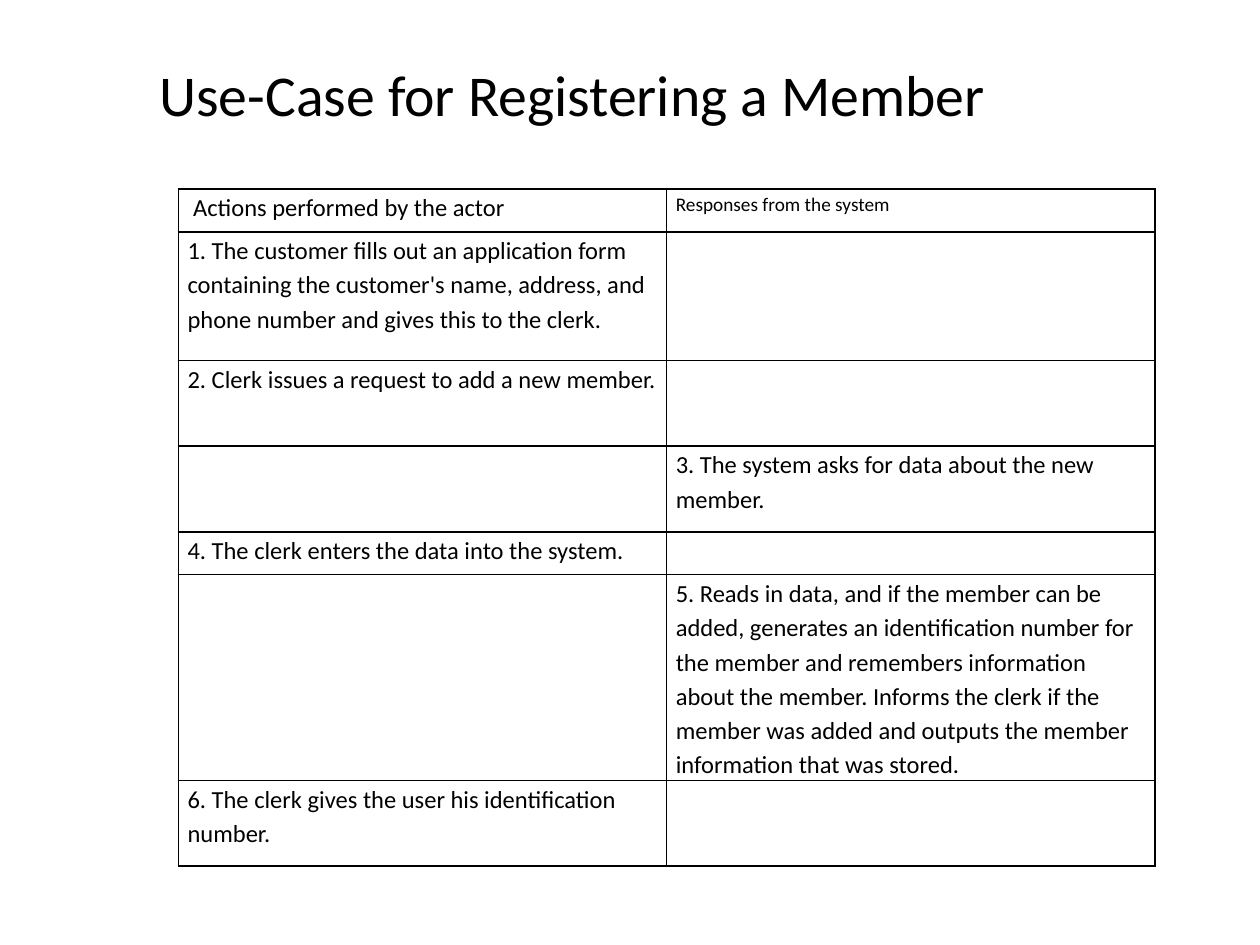
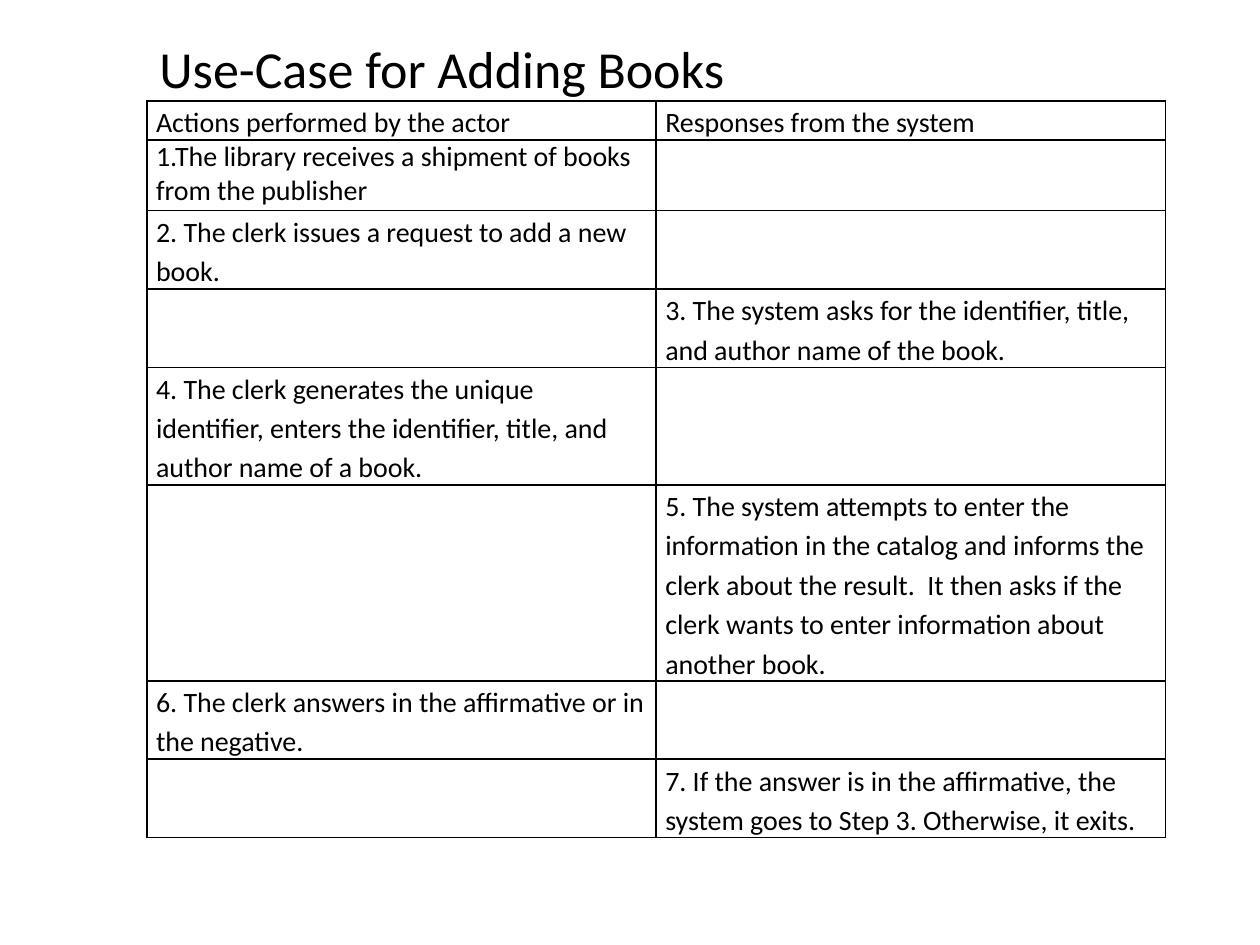
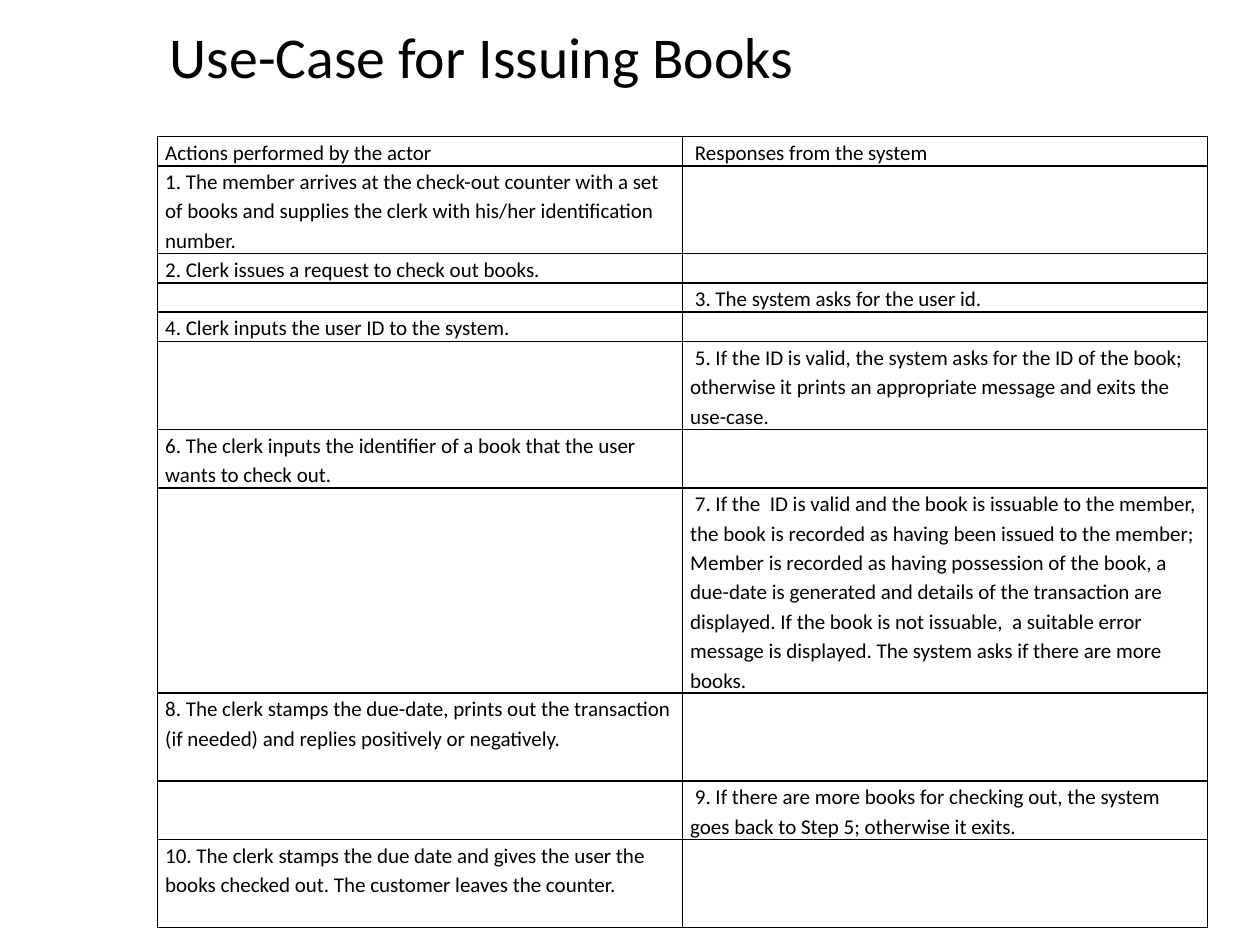
from dataclasses import dataclass

from lxml.etree import SubElement
from pptx import Presentation
from pptx.dml.color import RGBColor
from pptx.enum.text import MSO_ANCHOR
from pptx.oxml.ns import qn
from pptx.slide import Slide
from pptx.table import _Cell
from pptx.text.text import _Paragraph
from pptx.util import Pt


@dataclass(frozen=True)
class Theme:
    """Colours, fonts and spacing shared by all slides."""
    font: str = "Calibri"
    ink: str = "000000"
    paper: str = "FFFFFF"
    rule: float = 1
    title_gap: float = 0.9
    cell_gap: float = 1.15
    title_wide: float = 600


@dataclass(frozen=True)
class Step:
    """One row: its text, its column and its height in lines."""
    text: str
    side: int
    lines: float
    gap: float = Theme.cell_gap


@dataclass(frozen=True)
class Title:
    """Heading text, its place and type size."""
    text: str
    left: float
    top: float
    high: float
    size: float


@dataclass(frozen=True)
class Grid:
    """Table place, text size, row height per line and side inset."""
    left: float
    top: float
    wide: float
    size: float
    pitch: float
    inset: float


@dataclass(frozen=True)
class Case:
    """A use-case slide."""
    title: Title
    grid: Grid
    heads: tuple[str, str]
    steps: tuple[Step, ...]
    reply_size: float  # type size of the right heading


THEME = Theme()
ACTOR, SYSTEM = 0, 1

CASES = (
    Case(
        Title("Use-Case for Registering a Member", 84, 21.6, 68.4, 33),
        Grid(102, 108, 558, 14, 24.5, 5.2),
        (" Actions performed by the actor", "Responses from the system"),
        (
            Step("1. The customer fills out an application form containing the "
                 "customer's name, address, and phone number and gives this to "
                 "the clerk.", ACTOR, 3),
            Step("2. Clerk issues a request to add a new member.", ACTOR, 2),
            Step("3. The system asks for data about the new member.", SYSTEM, 2),
            Step("4. The clerk enters the data into the system.", ACTOR, 1),
            Step("5. Reads in data, and if the member can be added, generates an "
                 "identification number for the member and remembers information "
                 "about the member. Informs the clerk if the member was added and "
                 "outputs the member information that was stored.", SYSTEM, 4.8),
            Step("6. The clerk gives the user his identification number.",
                 ACTOR, 2),
        ),
        11,
    ),
    Case(
        Title("Use-Case for Adding Books", 84, 21.6, 38.4, 29.7),
        Grid(84, 57.6, 582, 16, 22.4, 5.2),
        ("Actions performed by the actor", "Responses from the system"),
        (
            Step("1.The library receives a shipment of books from the publisher",
                 ACTOR, 1.8, 1),
            Step("2. The clerk issues a request to add a new book.", ACTOR, 2),
            Step("3. The system asks for the identifier, title, and author name "
                 "of the book.", SYSTEM, 2),
            Step("4. The clerk generates the unique identifier, enters the "
                 "identifier, title, and author name of a book.", ACTOR, 3),
            Step("5. The system attempts to enter the information in the catalog "
                 "and informs the clerk about the result.  It then asks if the "
                 "clerk wants to enter information about another book.",
                 SYSTEM, 5),
            Step("6. The clerk answers in the affirmative or in the negative.",
                 ACTOR, 2),
            Step("7. If the answer is in the affirmative, the system goes to "
                 "Step 3. Otherwise, it exits.", SYSTEM, 2),
        ),
        16,
    ),
    Case(
        Title("Use-Case for Issuing Books", 90, 0, 68.4, 33),
        Grid(90, 78, 600, 12, 16.75, 4.4),
        ("Actions performed by the actor", " Responses from the system"),
        (
            Step("1. The member arrives at the check-out counter with a set of "
                 "books and supplies the clerk with his/her identification "
                 "number.", ACTOR, 3),
            Step("2. Clerk issues a request to check out books.", ACTOR, 1),
            Step(" 3. The system asks for the user id.", SYSTEM, 1),
            Step("4. Clerk inputs the user ID to the system.", ACTOR, 1),
            Step(" 5. If the ID is valid, the system asks for the ID of the "
                 "book; otherwise it prints an appropriate message and exits the "
                 "use-case.", SYSTEM, 3),
            Step("6. The clerk inputs the identifier of a book that the user "
                 "wants to check out.", ACTOR, 2),
            Step(" 7. If the  ID is valid and the book is issuable to the member, "
                 "the book is recorded as having been issued to the member; "
                 "Member is recorded as having possession of the book, a due-date "
                 "is generated and details of the transaction are displayed. If "
                 "the book is not issuable,  a suitable error message is "
                 "displayed. The system asks if there are more books.",
                 SYSTEM, 7),
            Step("8. The clerk stamps the due-date, prints out the transaction "
                 "(if needed) and replies positively or negatively.", ACTOR, 3),
            Step(" 9. If there are more books for checking out, the system goes "
                 "back to Step 5; otherwise it exits.", SYSTEM, 2),
            Step("10. The clerk stamps the due date and gives the user the books "
                 "checked out. The customer leaves the counter.", ACTOR, 3),
        ),
        12,
    ),
)


def style(para: _Paragraph, size: float, gap: float) -> None:
    """Set the font and line spacing of a paragraph."""
    para.line_spacing = gap
    para.font.name = THEME.font
    para.font.size = Pt(size)
    para.font.color.rgb = RGBColor.from_string(THEME.ink)


def draw_title(slide: Slide, title: Title) -> None:
    """Place the slide heading."""
    box = slide.shapes.add_textbox(Pt(title.left), Pt(title.top),
                                   Pt(THEME.title_wide), Pt(title.high))
    frame = box.text_frame
    frame.word_wrap = True
    frame.vertical_anchor = MSO_ANCHOR.MIDDLE
    frame.text = title.text
    style(frame.paragraphs[0], title.size, THEME.title_gap)


def rule_cell(cell: _Cell) -> None:
    """Draw a thin line on all four sides of a cell."""
    props = cell._tc.get_or_add_tcPr()
    for edge in ("a:lnL", "a:lnR", "a:lnT", "a:lnB"):
        line = SubElement(props, qn(edge), w=str(Pt(THEME.rule)))
        fill = SubElement(line, qn("a:solidFill"))
        SubElement(fill, qn("a:srgbClr"), val=THEME.ink)


def fill_cell(cell: _Cell, text: str, size: float, gap: float,
              inset: float) -> None:
    """Write one cell with its borders and margins."""
    cell.margin_left = cell.margin_right = Pt(inset)
    cell.margin_top = cell.margin_bottom = Pt(0)
    rule_cell(cell)
    cell.fill.background()
    if text:
        cell.text = text
    para = cell.text_frame.paragraphs[0]
    if not text:  # keeps an empty cell from stretching its row
        end = SubElement(para._p, qn("a:endParaRPr"))
        end.set("sz", str(int(size * 100)))
    style(para, size, gap)


def draw_grid(slide: Slide, case: Case) -> None:
    """Draw the table of actions and responses."""
    grid = case.grid
    lines = [1] + [step.lines for step in case.steps]
    frame = slide.shapes.add_table(len(lines), 2, Pt(grid.left), Pt(grid.top),
                                   Pt(grid.wide), Pt(sum(lines) * grid.pitch))
    table = frame.table
    table.first_row = table.horz_banding = False
    for row, count in zip(table.rows, lines):
        row.height = Pt(count * grid.pitch)
    for col, (head, size) in enumerate(
            zip(case.heads, (grid.size, case.reply_size))):
        table.columns[col].width = Pt(grid.wide / 2)
        fill_cell(table.cell(0, col), head, size, THEME.cell_gap, grid.inset)
        for row, step in enumerate(case.steps, 1):
            text = step.text if step.side == col else ""
            fill_cell(table.cell(row, col), text, grid.size, step.gap,
                      grid.inset)


def main() -> None:
    """Build and save the deck."""
    deck = Presentation()
    deck.slide_width, deck.slide_height = Pt(720), Pt(540)
    for case in CASES:
        slide = deck.slides.add_slide(deck.slide_layouts[6])
        back = slide.background.fill
        back.solid()
        back.fore_color.rgb = RGBColor.from_string(THEME.paper)
        draw_title(slide, case.title)
        draw_grid(slide, case)
    deck.save("out.pptx")


main()
